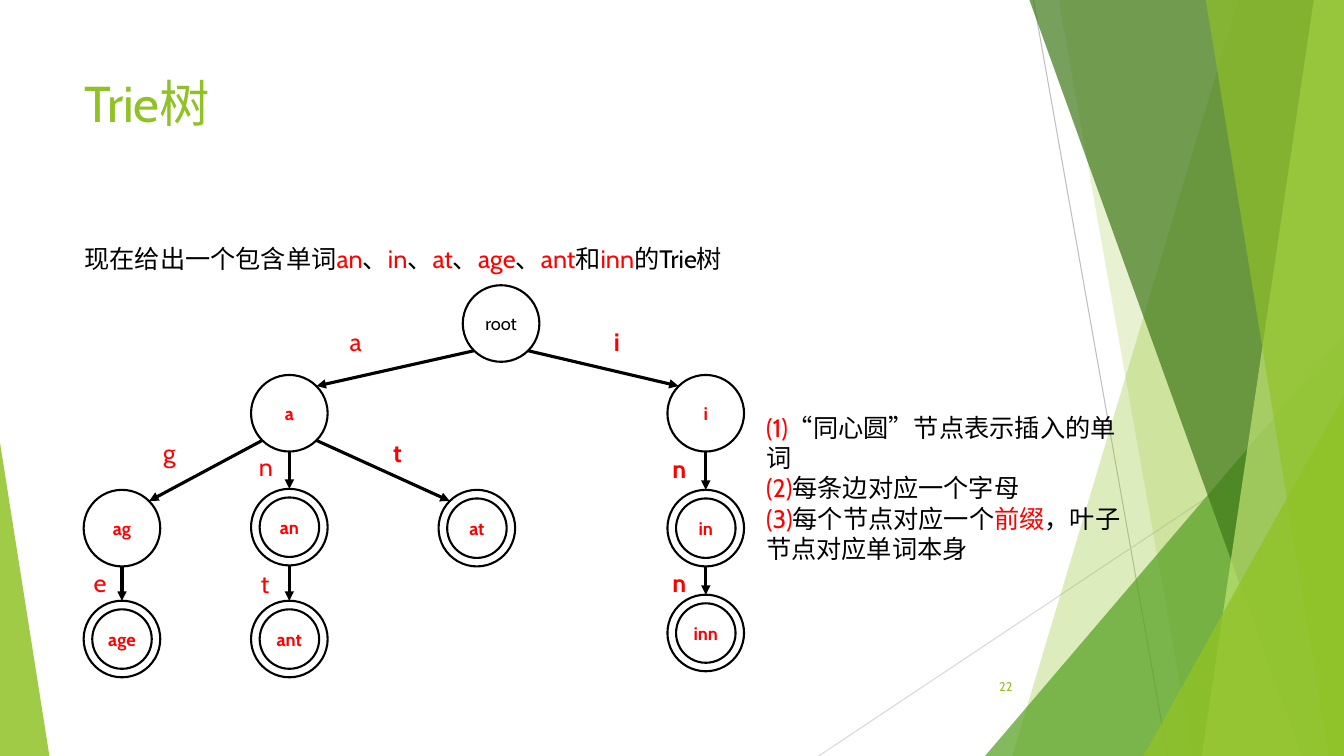
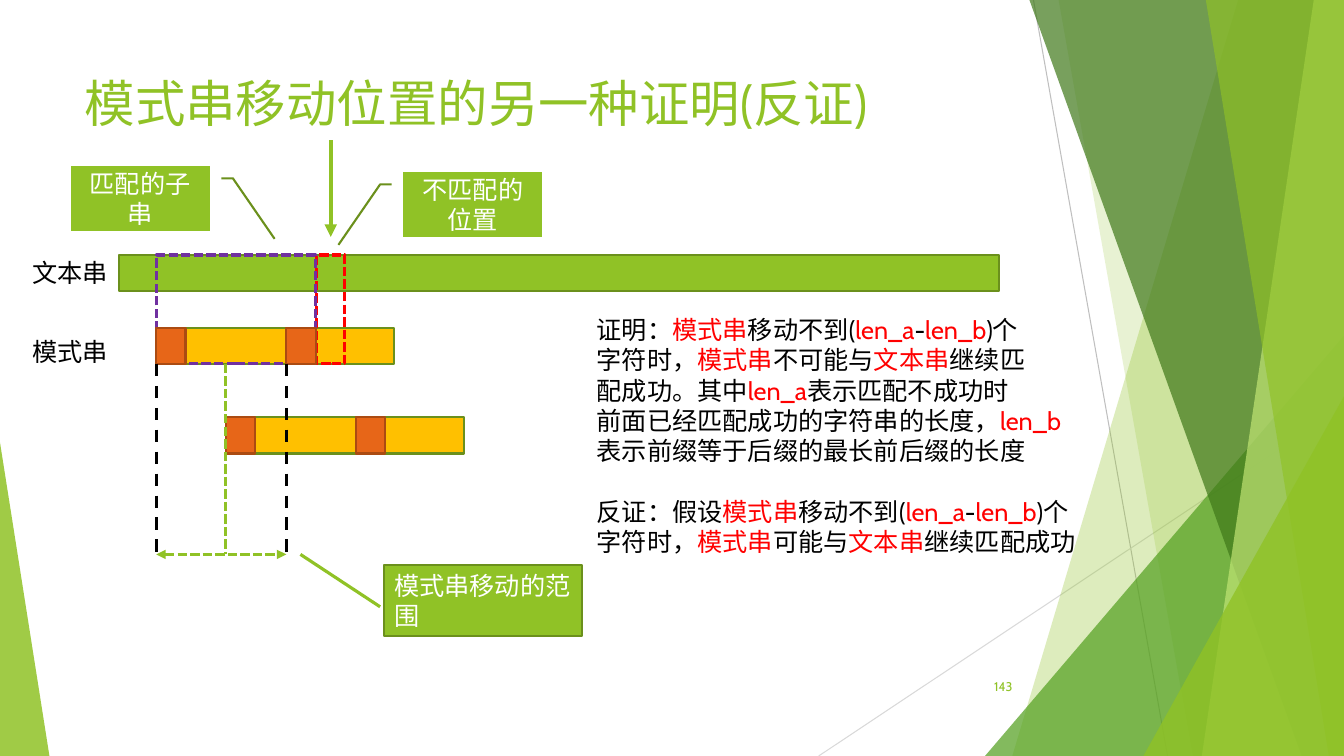
from dataclasses import dataclass
from typing import NamedTuple, Optional

from lxml import etree
from pptx import Presentation
from pptx.dml.color import RGBColor
from pptx.enum.dml import MSO_LINE
from pptx.enum.shapes import MSO_CONNECTOR, MSO_SHAPE
from pptx.enum.text import MSO_ANCHOR, MSO_AUTO_SIZE, PP_ALIGN
from pptx.oxml.ns import qn
from pptx.util import Inches, Pt

RECTANGLE = MSO_SHAPE.RECTANGLE
ELLIPSE = MSO_SHAPE.OVAL
TRIANGLE = MSO_SHAPE.ISOSCELES_TRIANGLE
CALLOUT = MSO_SHAPE.LINE_CALLOUT_2_NO_BORDER
STRAIGHT = MSO_CONNECTOR.STRAIGHT
DASH = MSO_LINE.DASH
SHORT_DASH = MSO_LINE.SQUARE_DOT
LEFT, CENTER, RIGHT = PP_ALIGN.LEFT, PP_ALIGN.CENTER, PP_ALIGN.RIGHT
TOP, MIDDLE = MSO_ANCHOR.TOP, MSO_ANCHOR.MIDDLE

SLIDE_WIDTH, SLIDE_HEIGHT = 13.33, 7.5


@dataclass(frozen=True)
class Theme:
    font: str = "Cabin"
    title_size: float = 36
    text_size: float = 18
    node_size: float = 13
    number_size: float = 9
    green: str = "90C226"
    mid_green: str = "54A021"
    dark_green: str = "3F7819"
    pale_green: str = "C0E474"
    outline_green: str = "6B901C"
    yellow: str = "FFC000"
    orange: str = "E76618"
    outline_orange: str = "AB4B12"
    purple: str = "7030A0"
    red: str = "FF0000"
    black: str = "000000"
    white: str = "FFFFFF"
    gray: str = "BFBFBF"
    light_gray: str = "D9D9D9"


THEME = Theme()


class Box(NamedTuple):
    left: float
    top: float
    width: float
    height: float


class Stroke(NamedTuple):
    color: str
    width: float
    dash: Optional[MSO_LINE] = None


class Panel(NamedTuple):
    """Band from its slanted left edge to the right side of the slide."""
    top_x: float
    bottom_x: float
    color: str
    opacity: int


class Wedge(NamedTuple):
    box: Box
    corner: int
    color: str
    opacity: int


class Node(NamedTuple):
    center_x: float
    top: float
    is_word: bool


class Edge(NamedTuple):
    parent: str
    child: str
    letter: str
    label_left: float
    label_top: float
    bold: bool = False


# Decoration, from back to front
DECORATION = [
    Panel(12.28, 10.04, THEME.green, 30),
    Panel(10.5, 11.83, THEME.green, 20),
    Wedge(Box(9.77, 3.33, 3.56, 4.17), 1, THEME.mid_green, 72),
    Panel(10.21, 12.91, THEME.dark_green, 70),
    Panel(13.03, 11.92, THEME.pale_green, 70),
    Panel(11.96, 13.18, THEME.green, 65),
    Wedge(Box(11.34, 3.93, 1.99, 3.57), 1, THEME.green, 80),
    Wedge(Box(0, 4.39, 0.49, 3.11), 0, THEME.green, 85),
]

# Trie
NODE_DIAMETER, RING_DIAMETER = 0.76, 0.59
DIAGONAL = 0.27
NODES = {
    "root": Node(4.97, 2.83, False),
    "a": Node(2.87, 3.72, False),
    "i": Node(7, 3.72, False),
    "ag": Node(1.21, 4.86, False),
    "an": Node(2.87, 4.85, True),
    "at": Node(4.73, 4.86, True),
    "in": Node(7, 4.86, True),
    "age": Node(1.21, 5.96, True),
    "ant": Node(2.87, 5.96, True),
    "inn": Node(7, 5.9, True),
}
EDGES = [
    Edge("root", "a", "a", 3.37, 3.19),
    Edge("root", "i", "i", 5.99, 3.19, True),
    Edge("a", "ag", "g", 1.52, 4.29),
    Edge("a", "an", "n", 2.47, 4.43),
    Edge("a", "at", "t", 3.8, 4.29, True),
    Edge("ag", "age", "e", 0.83, 5.58),
    Edge("an", "ant", "t", 2.49, 5.59),
    Edge("i", "in", "n", 6.57, 4.45, True),
    Edge("in", "inn", "n", 6.57, 5.58, True),
]

# Text between bars is red
TRIE_INTRO = ["现在给出一个包含单词|an|、|in|、|at|、|age|、|ant|和|inn|的Trie树"]
TRIE_NOTES = [
    "|(1)|“同心圆”节点表示插入的单词",
    "|(2)|每条边对应一个字母",
    "|(3)|每个节点对应一个|前缀|，叶子",
    "节点对应单词本身",
]
PROOF = [
    "证明：|模式串|移动不到(|len_a|-|len_b|)个",
    "字符时，|模式串|不可能与|文本串|继续匹",
    "配成功。其中|len_a|表示匹配不成功时",
    "前面已经匹配成功的字符串的长度，|len_b|",
    "表示前缀等于后缀的最长前后缀的长度",
    "反证：假设|模式串|移动不到(|len_a|-|len_b|)个",
    "字符时，|模式串|可能与|文本串|继续匹配成功",
]


def emu(box: Box) -> list:
    return [Inches(value) for value in box]


def set_fill(shape, color: Optional[str], opacity: int = 100) -> None:
    if color is None:
        shape.fill.background()
        return
    shape.fill.solid()
    shape.fill.fore_color.rgb = RGBColor.from_string(color)
    if opacity < 100:
        color_element = shape._element.spPr.find(qn("a:solidFill"))[0]
        etree.SubElement(color_element, qn("a:alpha"), val=str(opacity * 1000))


def set_line(line, stroke: Optional[Stroke]) -> None:
    if stroke is None:
        line.fill.background()
        return
    line.color.rgb = RGBColor.from_string(stroke.color)
    line.width = Pt(stroke.width)
    if stroke.dash is not None:
        line.dash_style = stroke.dash


def write(text_frame, lines: list, size: float, color: str, bold: bool = False,
          align: PP_ALIGN = LEFT, anchor: MSO_ANCHOR = TOP, wrap: bool = True) -> None:
    text_frame.auto_size = MSO_AUTO_SIZE.NONE
    text_frame.word_wrap = wrap
    text_frame.vertical_anchor = anchor
    for index, line in enumerate(lines):
        paragraph = text_frame.paragraphs[0] if index == 0 else text_frame.add_paragraph()
        paragraph.alignment = align
        for position, part in enumerate(line.split("|")):
            if not part:
                continue
            run = paragraph.add_run()
            run.text = part
            run.font.name = THEME.font
            run.font.size = Pt(size)
            run.font.bold = bold
            run.font.color.rgb = RGBColor.from_string(THEME.red if position % 2 else color)


def add_text(slide, box: Box, lines: list, size: float = THEME.text_size,
             color: str = THEME.black, **options):
    text_box = slide.shapes.add_textbox(*emu(box))
    write(text_box.text_frame, lines, size, color, **options)
    return text_box


def add_figure(slide, kind: MSO_SHAPE, box: Box, fill: Optional[str] = None,
               stroke: Optional[Stroke] = None, opacity: int = 100):
    shape = slide.shapes.add_shape(kind, *emu(box))
    shape.shadow.inherit = False
    set_fill(shape, fill, opacity)
    set_line(shape.line, stroke)
    return shape


def add_line(slide, start: tuple, end: tuple, stroke: Stroke, heads: tuple = ()) -> None:
    connector = slide.shapes.add_connector(STRAIGHT, *emu(start), *emu(end))
    set_line(connector.line, stroke)
    line_element = connector.line._get_or_add_ln()
    for head in heads:
        etree.SubElement(line_element, qn(f"a:{head}"), type="triangle")
    etree.SubElement(connector._element.spPr, qn("a:effectLst"))


def draw_decoration(slide) -> None:
    add_line(slide, (10.25, 0), (11.58, SLIDE_HEIGHT), Stroke(THEME.gray, 0.75))
    add_line(slide, (SLIDE_WIDTH, 4.03), (8.12, SLIDE_HEIGHT), Stroke(THEME.light_gray, 0.75))
    for item in DECORATION:
        if isinstance(item, Wedge):
            wedge = add_figure(slide, TRIANGLE, item.box, item.color, opacity=item.opacity)
            wedge.adjustments[0] = item.corner
            continue
        corners = [(SLIDE_WIDTH, 0), (SLIDE_WIDTH, SLIDE_HEIGHT), (item.bottom_x, SLIDE_HEIGHT)]
        builder = slide.shapes.build_freeform(Inches(item.top_x), 0)
        builder.add_line_segments([(Inches(x), Inches(y)) for x, y in corners], close=True)
        panel = builder.convert_to_shape()
        panel.shadow.inherit = False
        set_fill(panel, item.color, item.opacity)
        set_line(panel.line, None)


def add_base_slide(presentation, title: str, number: str):
    slide = presentation.slides.add_slide(presentation.slide_layouts[5])
    draw_decoration(slide)
    placeholder = slide.shapes.title
    placeholder.left, placeholder.top, placeholder.width, placeholder.height = emu(
        Box(0.74, 0.67, 9.4, 1.44))
    write(placeholder.text_frame, [title], THEME.title_size, THEME.green)
    add_text(slide, Box(9.39, 6.61, 0.75, 0.4), [number], THEME.number_size, THEME.green,
             align=RIGHT, anchor=MIDDLE)
    return slide


def draw_node(slide, word: str, node: Node) -> None:
    outline = Stroke(THEME.black, 1.5)
    box = Box(node.center_x - NODE_DIAMETER / 2, node.top, NODE_DIAMETER, NODE_DIAMETER)
    circle = add_figure(slide, ELLIPSE, box, stroke=outline)
    is_root = word == "root"
    write(circle.text_frame, [word], THEME.node_size, THEME.black if is_root else THEME.red,
          bold=not is_root, align=CENTER, anchor=MIDDLE, wrap=False)
    if node.is_word:
        inset = (NODE_DIAMETER - RING_DIAMETER) / 2
        add_figure(slide, ELLIPSE, Box(box.left + inset, box.top + inset, RING_DIAMETER,
                                       RING_DIAMETER), stroke=outline)


def draw_edge(slide, edge: Edge) -> None:
    parent, child = NODES[edge.parent], NODES[edge.child]
    radius = NODE_DIAMETER / 2
    side = (child.center_x > parent.center_x) - (child.center_x < parent.center_x)
    shift, drop = side * DIAGONAL, DIAGONAL if side else radius
    add_line(slide, (parent.center_x + shift, parent.top + radius + drop),
             (child.center_x - shift, child.top + radius - drop),
             Stroke(THEME.black, 2.25), ("tailEnd",))
    add_text(slide, Box(edge.label_left, edge.label_top, 0.34, 0.4), [edge.letter],
             color=THEME.red, bold=edge.bold, wrap=False)


def build_trie_slide(presentation) -> None:
    slide = add_base_slide(presentation, "Trie树", "22")
    add_text(slide, Box(0.74, 2.36, 9.4, 0.45), TRIE_INTRO)
    for word, node in NODES.items():
        draw_node(slide, word, node)
    for edge in EDGES:
        draw_edge(slide, edge)
    add_text(slide, Box(7.5, 4.04, 3.82, 1.61), TRIE_NOTES)


def build_proof_slide(presentation) -> None:
    slide = add_base_slide(presentation, "模式串移动位置的另一种证明(反证)", "143")
    green_outline = Stroke(THEME.outline_green, 1.5)
    start, moved, shift_end = 1.55, 2.24, 2.84
    text_top, pattern_top, bar_height = 2.53, 3.25, 0.36
    patterns = [(start, pattern_top), (moved, 4.14)]

    # Text string and the two pattern positions
    add_figure(slide, RECTANGLE, Box(1.18, text_top, 8.73, bar_height), THEME.green, green_outline)
    for left, top in patterns:
        add_figure(slide, RECTANGLE, Box(left, top, 2.36, bar_height), THEME.yellow, green_outline)
    for label, top in (("文本串", 2.5), ("模式串", 3.29)):
        add_text(slide, Box(0.22, top, 0.96, 0.4), [label], wrap=False)

    # Mismatch and match frames, then the equal prefix and suffix
    for left, width, color in ((3.14, 0.28, THEME.red), (start, 1.58, THEME.purple)):
        add_figure(slide, RECTANGLE, Box(left, text_top, width, 1.08),
                   stroke=Stroke(color, 2.25, SHORT_DASH))
    for left, top in patterns:
        for offset in (0, shift_end - start):
            add_figure(slide, RECTANGLE, Box(left + offset, top, 0.29, bar_height),
                       THEME.orange, Stroke(THEME.outline_orange, 1.5))

    # Callouts; the first one points to the right
    for label, left, top, mirrored in (("匹配的子串", 0.7, 1.65, True),
                                       ("不匹配的位置", 4, 1.71, False)):
        callout = add_figure(slide, CALLOUT, Box(left, top, 1.38, 0.64), THEME.green, green_outline)
        write(callout.text_frame, [label], THEME.text_size, THEME.white,
              align=CENTER, anchor=MIDDLE)
        if mirrored:
            for index in (1, 3, 5):
                callout.adjustments[index] = 1 - callout.adjustments[index]
    add_line(slide, (3.28, 1.39), (3.28, 2.35), Stroke(THEME.green, 3), ("tailEnd",))

    # Range of the shift
    guide_top, guide_bottom = pattern_top + bar_height, 5.5
    green_dash = Stroke(THEME.green, 2.25, SHORT_DASH)
    black_dash = Stroke(THEME.black, 2.25, DASH)
    for x, stroke in ((shift_end, black_dash), (start, black_dash), (moved, green_dash)):
        add_line(slide, (x, guide_top), (x, guide_bottom), stroke)
    add_line(slide, (start, guide_bottom), (shift_end, guide_bottom), green_dash,
             ("headEnd", "tailEnd"))
    range_box = add_figure(slide, RECTANGLE, Box(3.81, 5.61, 1.96, 0.7), THEME.green, green_outline)
    write(range_box.text_frame, ["模式串移动的范围"], THEME.text_size, THEME.white, anchor=MIDDLE)
    add_line(slide, (2.98, guide_bottom), (3.77, 6.02), Stroke(THEME.green, 2.25))

    # Proof text
    proof = add_text(slide, Box(5.82, 3.07, 5.2, 2.52), PROOF)
    proof.text_frame.paragraphs[5].space_before = Pt(22)


def main() -> None:
    presentation = Presentation()
    presentation.slide_width = Inches(SLIDE_WIDTH)
    presentation.slide_height = Inches(SLIDE_HEIGHT)
    build_trie_slide(presentation)
    build_proof_slide(presentation)
    presentation.save("out.pptx")


if __name__ == "__main__":
    main()
